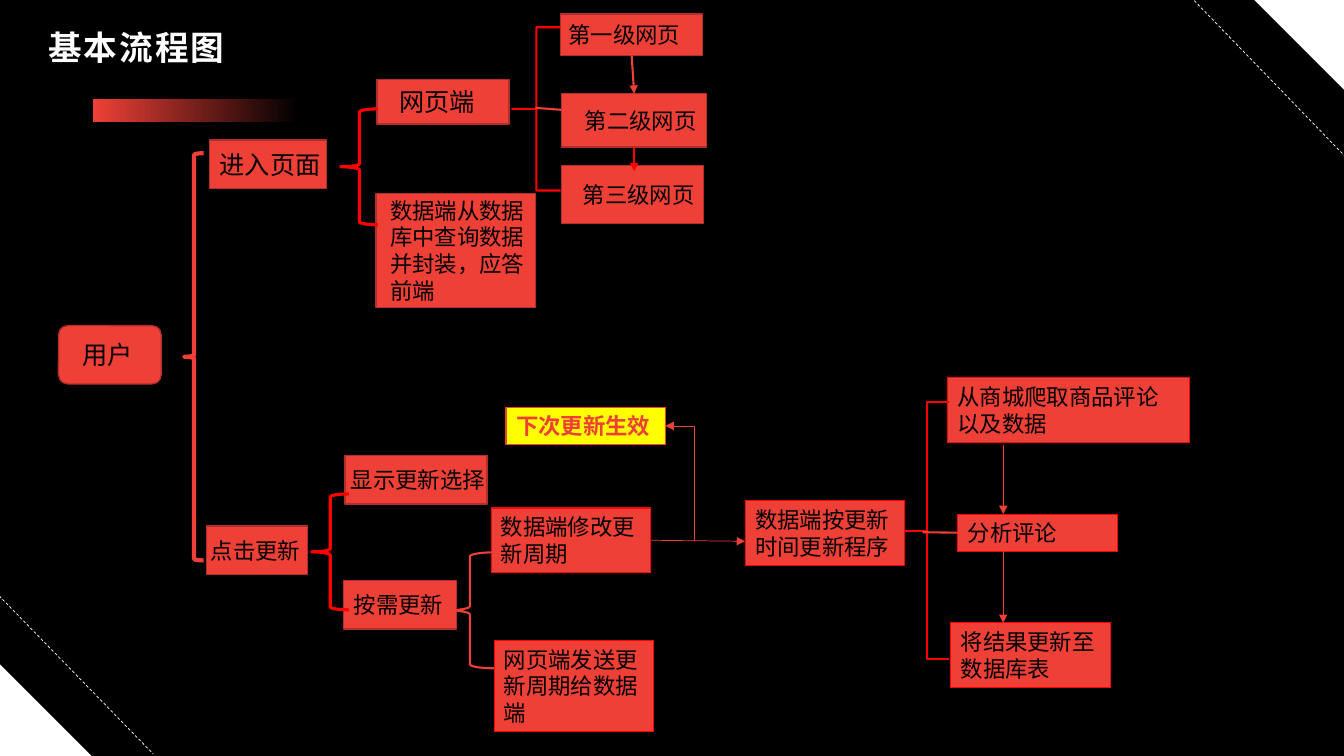
from dataclasses import dataclass

from lxml import etree
from pptx import Presentation
from pptx.dml.color import RGBColor
from pptx.enum.dml import MSO_LINE_DASH_STYLE as Dash
from pptx.enum.shapes import MSO_CONNECTOR as Link, MSO_SHAPE as Preset
from pptx.enum.text import MSO_ANCHOR as Anchor, PP_ALIGN as Align
from pptx.oxml.ns import qn
from pptx.util import Inches, Pt


@dataclass(frozen=True)
class Theme:
    font: str = "Noto Sans CJK SC"
    black: str = "000000"
    white: str = "FFFFFF"
    red: str = "EE4036"
    dark_red: str = "B02F28"
    bright_red: str = "FF0000"
    yellow: str = "FFFF00"
    title: int = 24
    large: int = 18
    body: int = 16


THEME = Theme()
TOP, LEFT, BOTTOM, RIGHT = range(4)


def rgb(value):
    return RGBColor.from_string(value)


def write(shape, text, size=THEME.body, color=THEME.black, bold=False,
          left=0.1, right=0, spacing=None):
    frame = shape.text_frame
    frame.word_wrap = True
    frame.vertical_anchor = Anchor.MIDDLE
    frame.margin_left, frame.margin_right = Inches(left), Inches(right)
    frame.margin_top = frame.margin_bottom = 0
    para = frame.paragraphs[0]
    para.alignment = Align.LEFT
    span = para.add_run()
    span.text = text
    span.font.size, span.font.bold = Pt(size), bold
    span.font.name, span.font.color.rgb = THEME.font, rgb(color)
    props = span.font._element
    etree.SubElement(props, qn("a:ea"), typeface=THEME.font)
    if spacing:
        props.set("spc", str(spacing))


def add_shape(page, preset, place, fill=None, line=None, width=1):
    shape = page.shapes.add_shape(preset, *map(Inches, place))
    shape.shadow.inherit = False
    if fill:
        shape.fill.solid()
        shape.fill.fore_color.rgb = rgb(fill)
    else:
        shape.fill.background()
    if line:
        shape.line.color.rgb = rgb(line)
        shape.line.width = Pt(width)
    else:
        shape.line.fill.background()
    return shape


def add_step(page, text, place, preset=Preset.RECTANGLE, fill=THEME.red,
             line=THEME.dark_red, width=1, **text_format):
    box = add_shape(page, preset, place, fill, line, width)
    write(box, text, **text_format)
    return box


def add_brace(page, place, color, width, square=False):
    brace = add_shape(page, Preset.LEFT_BRACE, place, line=color, width=width)
    if square:
        brace.adjustments[0] = 0


def add_line(page, start, end, color=THEME.red, width=0.5, arrow=None,
             dash=None, kind=Link.STRAIGHT):
    line = page.shapes.add_connector(kind, *map(Inches, (*start, *end)))
    line.line.color.rgb = rgb(color)
    line.line.width = Pt(width)
    if dash:
        line.line.dash_style = dash
    if arrow:
        etree.SubElement(line.line._get_or_add_ln(), qn(f"a:{arrow}"), type="triangle")
    etree.SubElement(line._element.spPr, qn("a:effectLst"))
    return line


def add_decor(page):
    corner = 0.91
    add_shape(page, Preset.RIGHT_TRIANGLE, (0, 6.59, corner, corner), THEME.white)
    add_shape(page, Preset.RIGHT_TRIANGLE, (12.43, -0.01, corner, corner),
              THEME.white).rotation = 180
    for start, end in (((-0.01, 5.91), (1.52, 7.48)), ((11.81, -0.03), (13.34, 1.55))):
        add_line(page, start, end, THEME.white, dash=Dash.DASH)
    bar = add_shape(page, Preset.RECTANGLE, (0.92, 0.98, 2.04, 0.23))
    bar.fill.gradient()
    bar.fill.gradient_angle = 0
    for stop, color in zip(bar.fill.gradient_stops, (THEME.red, THEME.black)):
        stop.color.rgb = rgb(color)
    title = page.shapes.add_textbox(*map(Inches, (0.38, 0.19, 11.21, 0.55)))
    write(title, "基本流程图", size=THEME.title, color=THEME.white, bold=True, spacing=150)


def add_page_branch(page):
    add_step(page, "用户", (0.58, 3.23, 1.02, 0.58), Preset.ROUNDED_RECTANGLE,
             size=THEME.large, left=0.21)
    add_step(page, "进入页面", (2.08, 1.39, 1.16, 0.48), size=THEME.large)
    add_step(page, "网页端", (3.74, 0.79, 1.31, 0.44), size=THEME.large, left=0.22)
    add_step(page, "数据端从数据库中查询数据并封装，应答前端",
             (3.73, 1.92, 1.58, 1.13), left=0.14)
    first = add_step(page, "第一级网页", (5.56, 0.14, 1.41, 0.41), left=0.08)
    second = add_step(page, "第二级网页", (5.57, 0.93, 1.44, 0.53), left=0.23)
    add_step(page, "第三级网页", (5.57, 1.64, 1.41, 0.58), left=0.21)

    add_brace(page, (1.83, 1.52, 0.19, 4.04), THEME.red, 3)
    add_brace(page, (3.38, 1.08, 0.37, 1.15), THEME.bright_red, 2.25)
    add_brace(page, (5.08, 0.27, 0.48, 1.62), THEME.bright_red, 1.5, square=True)
    add_line(page, (5.31, 1.07), (5.57, 1.09), width=1.5)
    down = add_line(page, (6.26, 0.55), (6.29, 0.93), width=1.5, arrow="tailEnd")
    down.begin_connect(first, BOTTOM)
    down.end_connect(second, TOP)
    down = add_line(page, (6.29, 1.46), (6.29, 1.7), THEME.bright_red, 1.5, "tailEnd")
    down.begin_connect(second, BOTTOM)


def add_update_branch(page):
    add_step(page, "点击更新", (2.05, 5.22, 1, 0.48), left=0.04)
    add_step(page, "显示更新选择", (3.42, 4.52, 1.41, 0.48), left=0.06)
    add_step(page, "按需更新", (3.41, 5.76, 1.12, 0.48))
    notice = add_step(page, "下次更新生效", (5.02, 4.04, 1.58, 0.37),
                      fill=THEME.yellow, color=THEME.red, line=THEME.red, bold=True)
    thin = {"line": THEME.bright_red, "width": 0.75, "right": 0.1}
    add_step(page, "网页端发送更新周期给数据端", (4.9, 6.35, 1.58, 0.91), **thin)
    period = add_step(page, "数据端修改更新周期", (4.87, 5.04, 1.58, 0.64), **thin)
    add_step(page, "数据端按更新时间更新程序", (7.39, 4.97, 1.58, 0.64), **thin)
    add_step(page, "从商城爬取商品评论以及数据", (9.4, 3.75, 2.4, 0.64), **thin)
    analysis = add_step(page, "分析评论", (9.5, 5.1, 1.58, 0.37), **thin)
    add_step(page, "将结果更新至数据库表", (9.43, 6.18, 1.58, 0.64), **thin)

    add_brace(page, (3.09, 4.9, 0.37, 1.15), THEME.bright_red, 2.25)
    add_brace(page, (4.42, 5.48, 0.48, 1.15), THEME.red, 1.5)
    add_brace(page, (8.98, 3.99, 0.43, 2.55), THEME.bright_red, 1.5, square=True)
    add_line(page, (6.45, 5.36), (7.39, 5.37),
             arrow="tailEnd").begin_connect(period, RIGHT)
    # One-corner elbow from the schedule arrow back to the notice
    elbow = add_line(page, (6.6, 4.25), (6.89, 5.37), arrow="headEnd", kind=Link.ELBOW)
    elbow._element.spPr.find(qn("a:prstGeom")).set("prst", "bentConnector2")
    elbow.begin_connect(notice, RIGHT)
    add_line(page, (9.15, 5.28), (9.5, 5.3), width=1.5).end_connect(analysis, LEFT)
    for top, bottom in ((4.41, 5.1), (5.47, 6.18)):
        add_line(page, (9.95, top), (9.95, bottom), arrow="tailEnd")


def main():
    deck = Presentation()
    deck.slide_width, deck.slide_height = Inches(13.33), Inches(7.5)
    page = deck.slides.add_slide(deck.slide_layouts[6])
    page.background.fill.solid()
    page.background.fill.fore_color.rgb = rgb(THEME.black)
    add_decor(page)
    add_page_branch(page)
    add_update_branch(page)
    deck.save("out.pptx")


if __name__ == "__main__":
    main()
